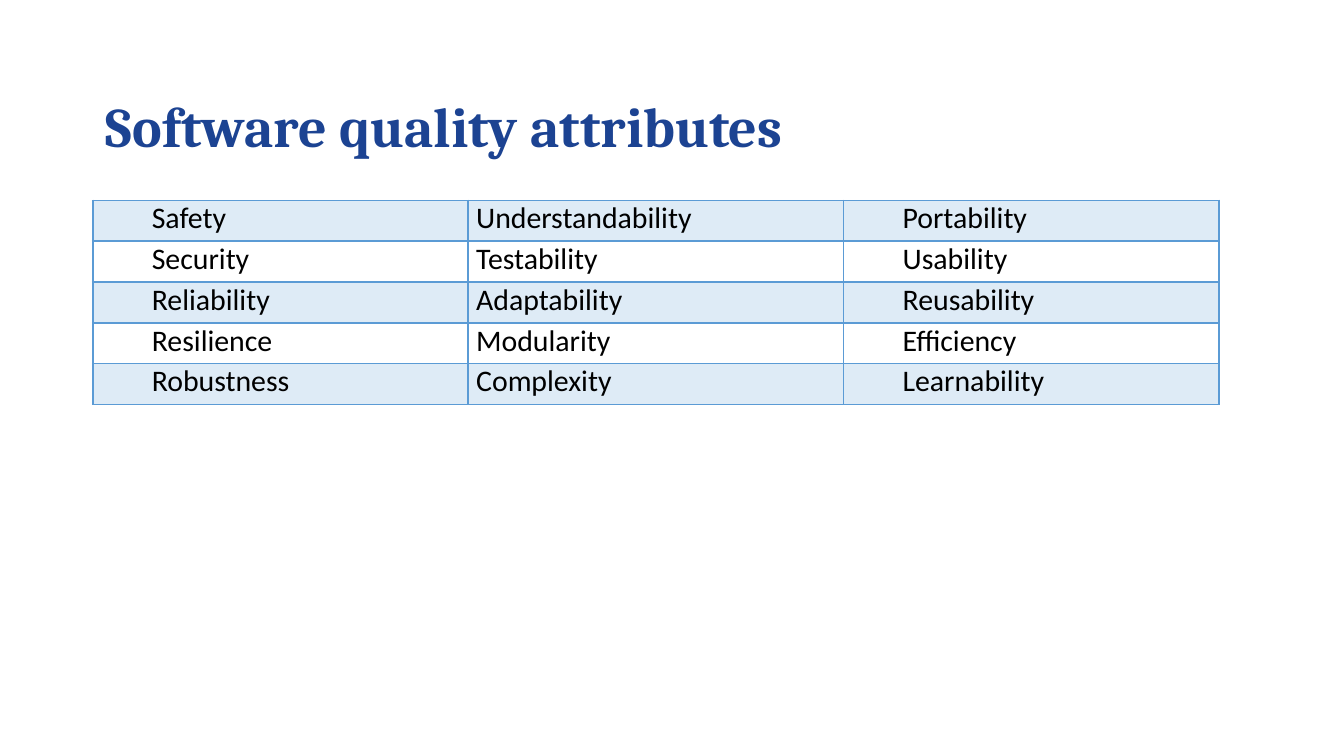
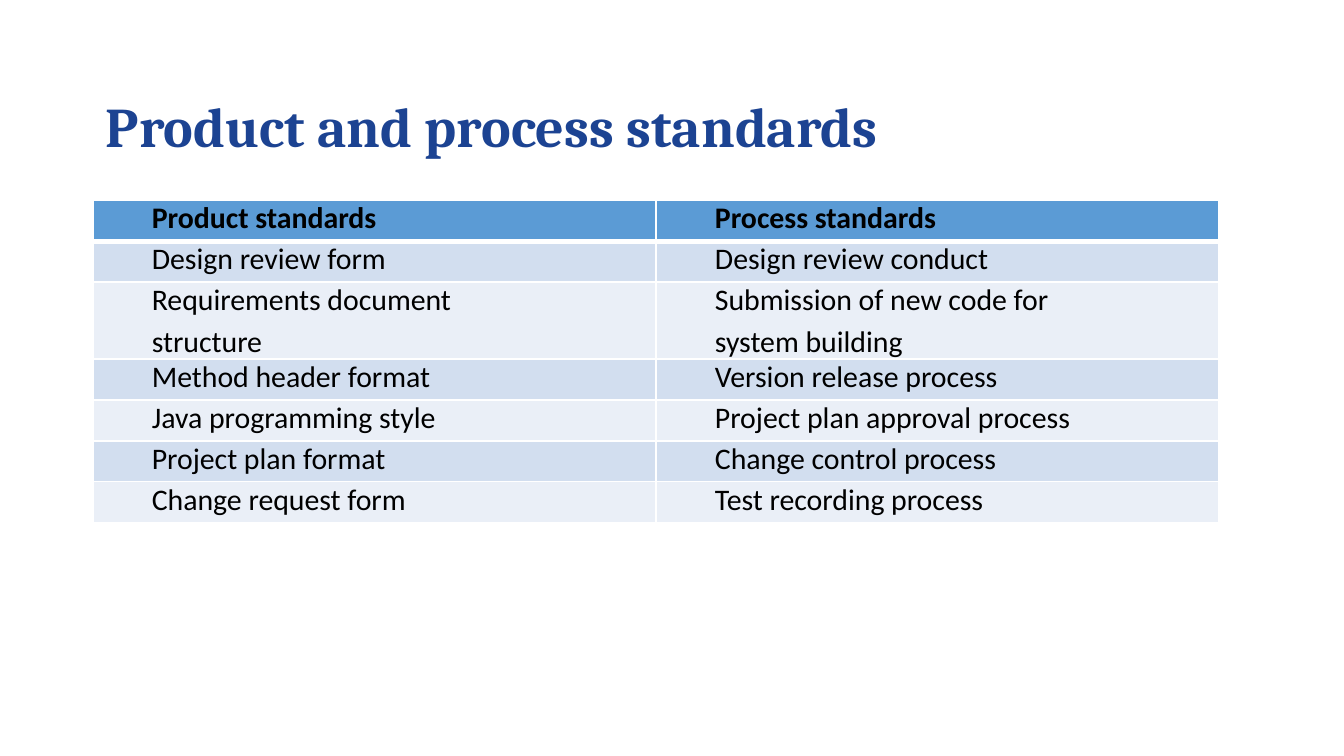
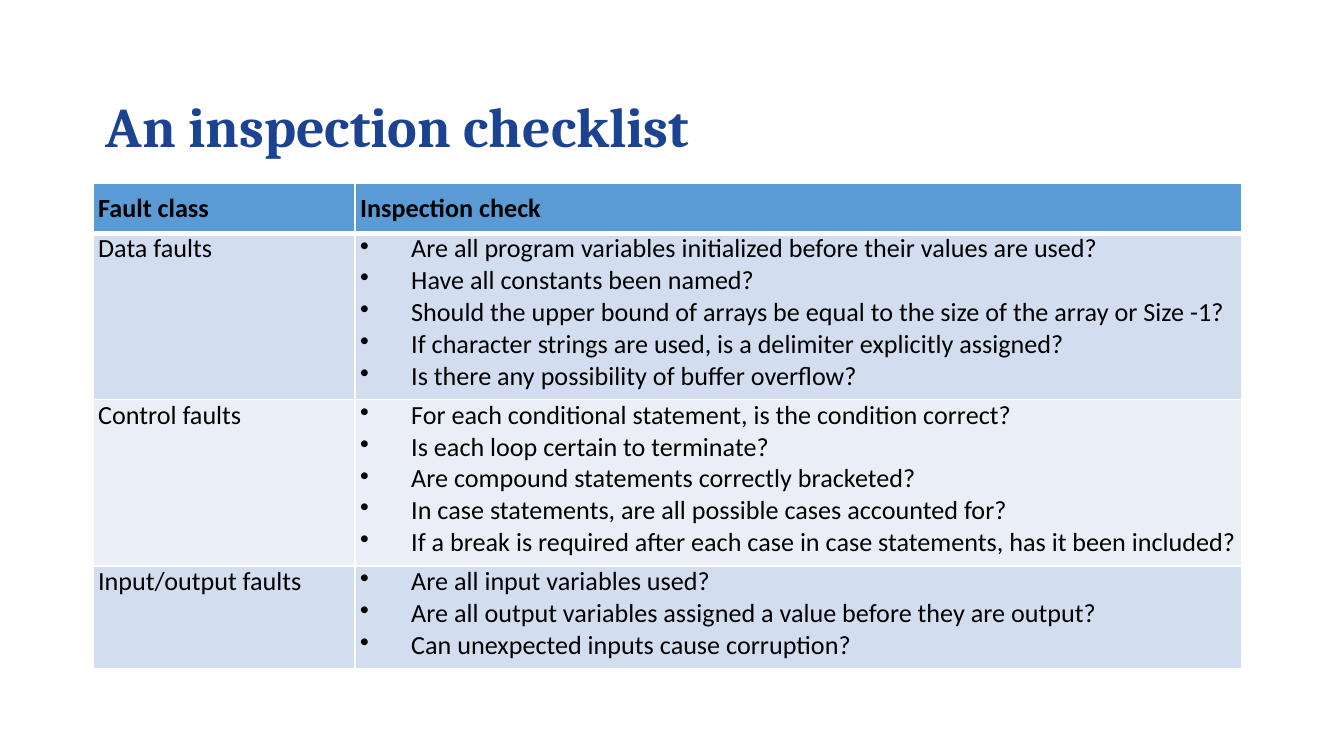
"""Build three slides of tables on software quality, standards and inspection."""
from lxml import etree
from pptx import Presentation
from pptx.dml.color import RGBColor
from pptx.enum.text import MSO_ANCHOR, PP_ALIGN
from pptx.oxml.ns import qn
from pptx.util import Emu, Inches, Pt

LEFT, JUSTIFY = PP_ALIGN.LEFT, PP_ALIGN.JUSTIFY
MIDDLE = MSO_ANCHOR.MIDDLE
NAVY = RGBColor(0x1C, 0x43, 0x92)
BLUE = RGBColor(0x5B, 0x9B, 0xD5)
LIGHT_BLUE = RGBColor(0xD2, 0xDE, 0xEF)
PALE_BLUE = RGBColor(0xEA, 0xEF, 0xF7)
WHITE = RGBColor(0xFF, 0xFF, 0xFF)
BLACK = RGBColor(0, 0, 0)

WIDTH = Inches(10)
HEIGHT = Emu(WIDTH * 9 // 16)
COL, ROW = WIDTH / 100, HEIGHT / 100
MARGIN = Emu(int(6.9 * COL))
CONTENT_WIDTH = 83.8
LINE_ROW = 5.4
INDENT = Inches(0.38)


def write(frame, lines, size=16, font="Calibri", color=BLACK, bold=False, align=LEFT,
          before=0, after=0, spacing=1.0, indent=0, bullet=None):
    """Fill a text frame with one paragraph per line."""
    frame.word_wrap = True
    for number, line in enumerate(lines.split("\n")):
        paragraph = frame.add_paragraph() if number else frame.paragraphs[0]
        paragraph.alignment = align
        paragraph.space_before, paragraph.space_after = Pt(before), Pt(after)
        paragraph.line_spacing = spacing
        run = paragraph.add_run()
        run.text = line
        run.font.size, run.font.name, run.font.bold = Pt(size), font, bold
        run.font.color.rgb = color
        properties = paragraph._p.get_or_add_pPr()
        properties.set("marL", str(INDENT if bullet else 0))
        properties.set("indent", str(-INDENT if bullet else indent))
        if bullet:
            etree.SubElement(properties, qn("a:buChar")).set("char", bullet)


def paint(cell, borders, fill, alpha=None):
    """Draw the cell's borders, given as side, colour and points, then its fill."""
    properties = cell._tc.get_or_add_tcPr()
    for side, color, points in borders:
        line = etree.SubElement(properties, qn("a:ln" + side), w=str(Pt(points)))
        solid = etree.SubElement(line, qn("a:solidFill"))
        etree.SubElement(solid, qn("a:srgbClr"), val=str(color))
    if fill is None:
        cell.fill.background()
        return
    cell.fill.solid()
    cell.fill.fore_color.rgb = fill
    if alpha:
        shade = properties.find(qn("a:solidFill")).find(qn("a:srgbClr"))
        etree.SubElement(shade, qn("a:alpha"), val=str(alpha * 1000))


INDENTED = dict(align=JUSTIFY, indent=INDENT, after=3)
FLUSH = dict(align=JUSTIFY, size=14)

SECTIONS = [
    dict(
        title="Software quality attributes", top=26.5, header=False,
        columns=[CONTENT_WIDTH / 3] * 3, heights=[LINE_ROW] * 5,
        bands=(BLUE, None), alpha=20, border=BLUE, inset=0.06, padding=0,
        formats=[dict(INDENTED, before=3), dict(align=JUSTIFY, before=3, after=3),
                 dict(INDENTED, before=3)],
        rows=[
            ("Safety", "Understandability", "Portability"),
            ("Security", "Testability", "Usability"),
            ("Reliability", "Adaptability", "Reusability"),
            ("Resilience", "Modularity", "Efficiency"),
            ("Robustness", "Complexity", "Learnability"),
        ]),
    dict(
        title="Product and process standards", top=26.5, header=True,
        columns=[CONTENT_WIDTH / 2] * 2, heights=[LINE_ROW] * 2 + [7.7] + [LINE_ROW] * 4,
        bands=(LIGHT_BLUE, PALE_BLUE), alpha=None, border=WHITE, inset=0.06, padding=0,
        header_format=dict(INDENTED, before=3, bold=True),
        formats=[dict(INDENTED, align=LEFT), INDENTED],
        rows=[
            ("Product standards", "Process standards"),
            ("Design review form", "Design review conduct"),
            ("Requirements document\nstructure", "Submission of new code for\nsystem building"),
            ("Method header format", "Version release process"),
            ("Java programming style", "Project plan approval process"),
            ("Project plan format", "Change control process"),
            ("Change request form", "Test recording process"),
        ]),
    dict(
        title="An inspection checklist", top=24.2, header=True,
        columns=[19.5, 66], heights=[6.2, 19.6, 19.7, 12.1],
        bands=(LIGHT_BLUE, PALE_BLUE), alpha=None, border=WHITE, inset=0.04, padding=0.07,
        header_format=dict(FLUSH, bold=True),
        formats=[FLUSH, dict(FLUSH, bullet="•")],
        rows=[
            ("Fault class", "Inspection check"),
            ("Data faults",
             "Are all program variables initialized before their values are used?\n"
             "Have all constants been named?\n"
             "Should the upper bound of arrays be equal to the size of the array or Size -1?\n"
             "If character strings are used, is a delimiter explicitly assigned?\n"
             "Is there any possibility of buffer overflow?"),
            ("Control faults",
             "For each conditional statement, is the condition correct?\n"
             "Is each loop certain to terminate?\n"
             "Are compound statements correctly bracketed?\n"
             "In case statements, are all possible cases accounted for?\n"
             "If a break is required after each case in case statements, has it been included?"),
            ("Input/output faults",
             "Are all input variables used?\n"
             "Are all output variables assigned a value before they are output?\n"
             "Can unexpected inputs cause corruption?"),
        ]),
]

deck = Presentation()
deck.slide_width, deck.slide_height = WIDTH, HEIGHT

for section in SECTIONS:
    slide = deck.slides.add_slide(deck.slide_layouts[6])
    columns, heights, has_header = section["columns"], section["heights"], section["header"]
    table = slide.shapes.add_table(
        len(heights), len(columns), MARGIN, int(section["top"] * ROW),
        int(sum(columns) * COL), int(sum(heights) * ROW)).table
    table.first_row = has_header
    for column, share in zip(table.columns, columns):
        column.width = int(share * COL)
    for r, (row, share, texts) in enumerate(zip(table.rows, heights, section["rows"])):
        row.height = int(share * ROW)
        is_header = has_header and r == 0
        fill = BLUE if is_header else section["bands"][(r - has_header) % 2]
        weights = dict(L=1, R=1, T=3 if has_header and r == 1 else 1, B=3 if is_header else 1)
        borders = [(side, section["border"], points) for side, points in weights.items()]
        for cell, text, body_format in zip(row.cells, texts, section["formats"]):
            cell.margin_left = cell.margin_right = Inches(section["inset"])
            cell.margin_top = Inches(section["padding"] if is_header else 0)
            cell.margin_bottom = Inches(section["padding"])
            paint(cell, borders, fill, section["alpha"])
            write(cell.text_frame, text, **(section["header_format"] if is_header else body_format))

    heading = slide.shapes.add_textbox(
        MARGIN, int(11 * ROW), int(CONTENT_WIDTH * COL), int(12.3 * ROW)).text_frame
    heading.vertical_anchor = MIDDLE
    write(heading, section["title"], size=30, font="Cambria", color=NAVY, bold=True, spacing=0.9)

deck.save("out.pptx")
